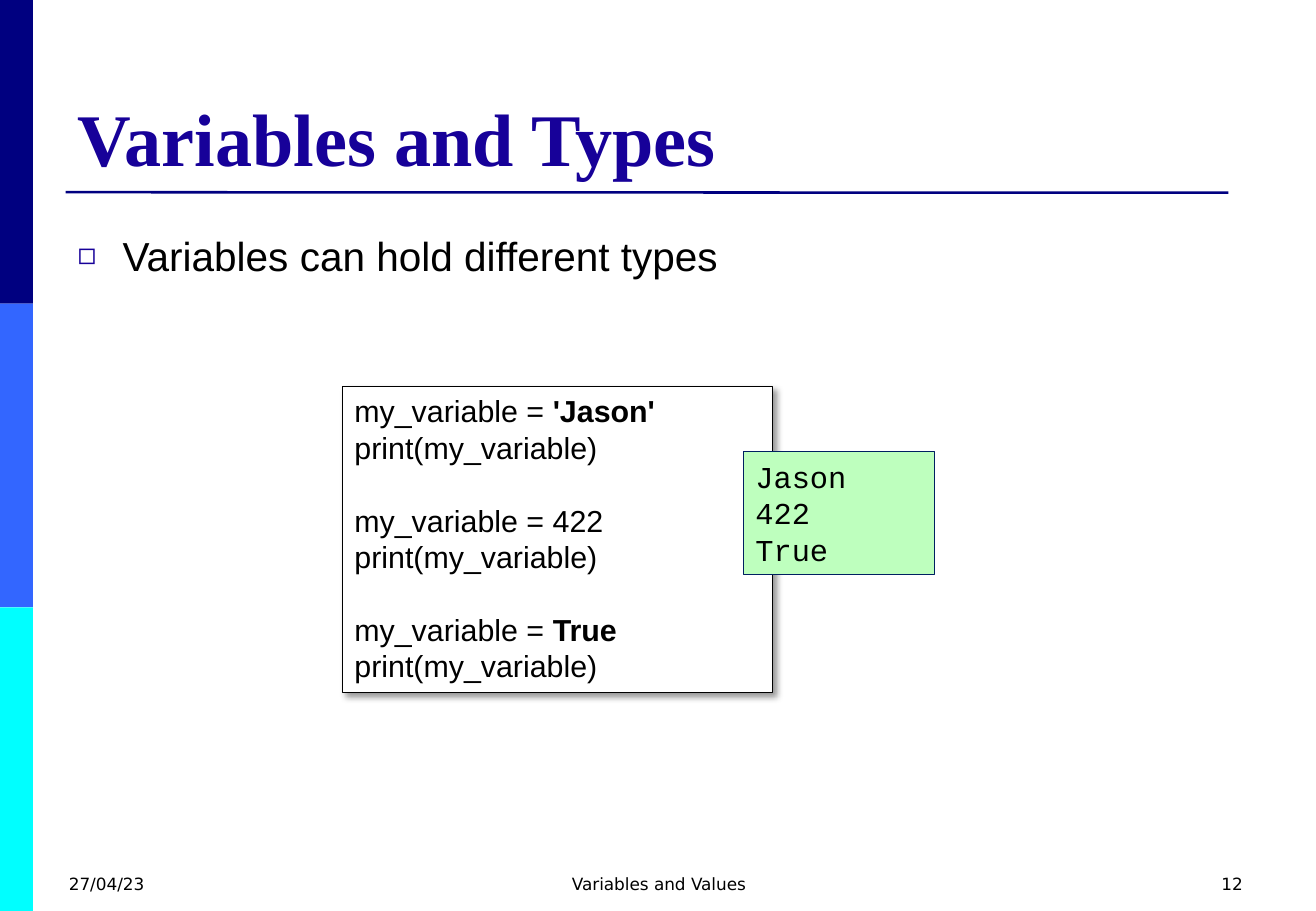
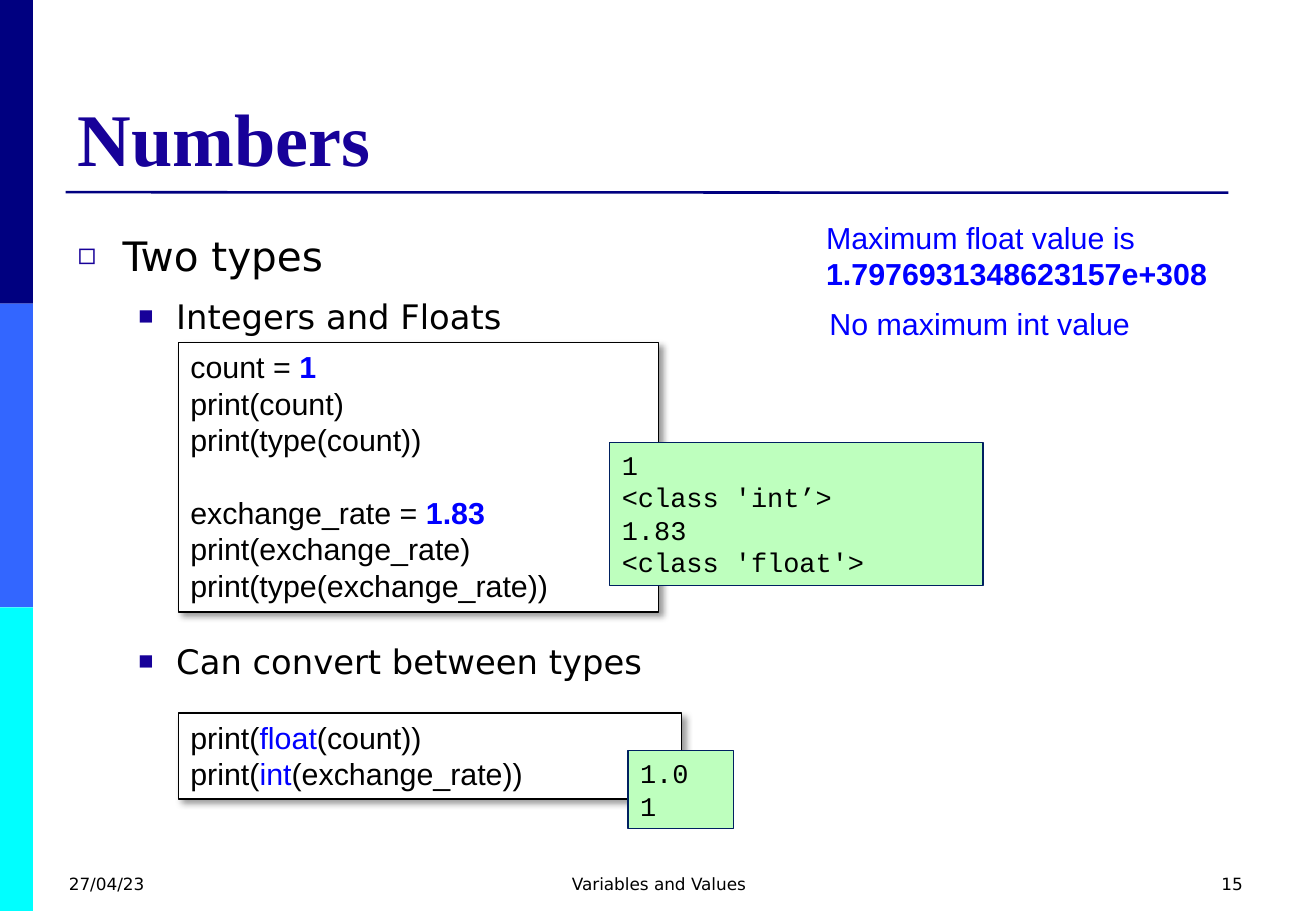
from lxml.etree import SubElement
from pptx import Presentation
from pptx.dml.color import RGBColor
from pptx.enum.shapes import MSO_CONNECTOR, MSO_SHAPE
from pptx.enum.text import MSO_ANCHOR as ANCHOR, MSO_AUTO_SIZE as FIT, PP_ALIGN as ALIGN
from pptx.oxml.ns import qn
from pptx.util import Cm, Pt

NAVY = RGBColor(0x00, 0x00, 0x80)
ROYAL = RGBColor(0x33, 0x66, 0xFF)
CYAN = RGBColor(0x00, 0xFF, 0xFF)
INDIGO = RGBColor(0x17, 0x01, 0x99)
BLUE = RGBColor(0x00, 0x00, 0xFF)
BLACK = RGBColor(0x00, 0x00, 0x00)
WHITE = RGBColor(0xFF, 0xFF, 0xFF)
MINT = RGBColor(0xBE, 0xFF, 0xBE)
DARK_BLUE = RGBColor(0x00, 0x20, 0x60)
SANS, MONO, SERIF, UI = "Arial", "Courier New", "Times New Roman", "DejaVu Sans"

# Bullet levels: character, size, left indent, hanging, line spacing, space before
LEVELS = [("◻", 24, 0.94, 0.94, 1.25, 7), ("■", 20, 2.06, 0.79, 1.15, 6)]
FOOTER_TOP, FOOTER_HEIGHT = 18.14, 0.91

# Slide contents; in text lines, every second part between bars is emphasised
SLIDES = [
    dict(
        title="Variables and Types", number="12", body_font=SANS, body_height=5.56,
        bullets=[(0, "Variables can hold different types", None)],
        code=[(7.16, 8.08, 8.99, 6.4, True, BLACK, [
            ["my_variable = |'Jason'", "print(my_variable)"],
            ["my_variable = 422", "print(my_variable)"],
            ["my_variable = |True", "print(my_variable)"]])],
        output=[(15.54, 9.45, 3.99, 2.57, 18, ["Jason", "422", "True"])],
        remarks=[],
    ),
    dict(
        title="Numbers", number="15", body_font=UI, body_height=12.57,
        bullets=[(0, "Two types", None), (1, "Integers and Floats", None),
                 (1, "Can convert between types", 177)],
        code=[(3.73, 7.16, 10.03, 5.64, True, BLUE, [
            ["count = |1", "print(count)", "print(type(count))"],
            ["exchange_rate = |1.83", "print(exchange_rate)", "print(type(exchange_rate))"]]),
              (3.73, 14.91, 10.52, 1.8, False, BLUE, [
                  ["print(|float|(count))", "print(|int|(exchange_rate))"]])],
        output=[(12.75, 9.25, 7.8, 3, 16, ["1", "<class 'int’>", "1.83", "<class 'float'>"]),
                (13.13, 15.7, 2.21, 1.63, 16, ["1.0", "1"])],
        # A no-break space keeps "is" with the number
        remarks=[(17.02, 4.45, 9.22, 1.8, "Maximum float value is |1.7976931348623157e+308"),
                 (17.09, 6.25, 7.09, 1.02, "No maximum int value")],
    ),
]


def write(shape, blocks, font, size, color=BLACK, bold=False, accent=BLACK, align=ALIGN.LEFT):
    """Write blocks of lines, one line of space apart."""
    frame = shape.text_frame
    frame.word_wrap = True
    frame.vertical_anchor = ANCHOR.TOP
    for b, block in enumerate(blocks):
        for n, line in enumerate(block):
            paragraph = frame.paragraphs[0] if b == n == 0 else frame.add_paragraph()
            paragraph.alignment = align
            if b and n == 0:
                paragraph.space_before = Pt(size * 1.2)
            for i, part in enumerate(line.split("|")):
                run = paragraph.add_run()
                run.text = part
                run.font.name, run.font.size = font, Pt(size)
                run.font.bold = bold and i % 2 == 1
                run.font.color.rgb = accent if i % 2 else color


def add_box(slide, box, fill, line):
    shape = slide.shapes.add_shape(MSO_SHAPE.RECTANGLE, *map(Cm, box))
    shape.shadow.inherit = False
    shape.fill.solid()
    shape.fill.fore_color.rgb = fill
    shape.line.color.rgb = line
    shape.line.width = Pt(0.75)
    return shape


prs = Presentation()
prs.slide_width, prs.slide_height = Cm(27.51), Cm(19.05)
layout = prs.slide_layouts[1]
slides = [prs.slides.add_slide(layout) for _ in SLIDES]

# Layout: title place and style
heading = layout.placeholders[0]
heading.left, heading.top, heading.width, heading.height = map(Cm, (1.37, 0.78, 24.77, 3.15))
heading.text_frame.vertical_anchor = ANCHOR.BOTTOM
heading.text_frame.auto_size = FIT.NONE

# Layout: bands, rule, date and footer, drawn on a slide and moved to the layout
shared = []
for i, color in enumerate((NAVY, ROYAL, CYAN)):
    band = add_box(slides[0], (0, 6.35 * i, 0.69, 6.35), color, color)
    band.line.fill.background()
    shared.append(band)
rule = slides[0].shapes.add_connector(MSO_CONNECTOR.STRAIGHT, Cm(1.37), Cm(4.02), Cm(25.68), Cm(4.03))
rule.line.color.rgb = NAVY
rule.line.width = Pt(1.5)
SubElement(rule.element.spPr, qn("a:effectLst"))
shared.append(rule)
for left, width, text, align in ((1.19, 6.43, "27/04/23", ALIGN.LEFT),
                                 (9.42, 8.71, "Variables and Values", ALIGN.CENTER)):
    footer = slides[0].shapes.add_textbox(Cm(left), Cm(FOOTER_TOP), Cm(width), Cm(FOOTER_HEIGHT))
    write(footer, [[text]], UI, 10, align=align)
    shared.append(footer)
for shape in shared:
    layout.shapes.element.append(shape.element)

for slide, content in zip(slides, SLIDES):
    # Title
    title = slide.shapes.title
    title.text_frame.text = content["title"]
    paragraph = title.text_frame.paragraphs[0]
    paragraph.alignment = ALIGN.LEFT
    font = paragraph.runs[0].font
    font.name, font.size, font.bold = SERIF, Pt(44), True
    font.color.rgb = INDIGO

    # Bulleted list
    body = slide.placeholders[1]
    body.left, body.top, body.width, body.height = map(Cm, (1.37, 4.45, 24.77, content["body_height"]))
    body.text_frame.auto_size = FIT.NONE
    body.text_frame.text = "\n".join(text for _, text, _ in content["bullets"])
    for n, (paragraph, (level, _, gap)) in enumerate(zip(body.text_frame.paragraphs, content["bullets"])):
        char, size, indent, hanging, spacing, before = LEVELS[level]
        paragraph.level = level
        props = paragraph._p.get_or_add_pPr()
        props.set("marL", str(Cm(indent)))
        props.set("indent", str(-Cm(hanging)))
        SubElement(SubElement(props, qn("a:buClr")), qn("a:srgbClr"), val=str(INDIGO))
        SubElement(props, qn("a:buSzPct"), val="75000")
        SubElement(props, qn("a:buChar"), char=char)
        paragraph.line_spacing = spacing
        paragraph.space_before = Pt(gap or before) if n else Pt(0)
        font = paragraph.runs[0].font
        font.name, font.size = content["body_font"], Pt(size)
        font.color.rgb = BLACK

    # Slide number
    number = slide.shapes.add_textbox(Cm(19.8), Cm(FOOTER_TOP), Cm(6.43), Cm(FOOTER_HEIGHT))
    write(number, [[content["number"]]], UI, 10, align=ALIGN.RIGHT)

    # Code with its shadow
    for *box, bold, accent, blocks in content["code"]:
        code = add_box(slide, box, WHITE, BLACK)
        write(code, blocks, SANS, 18, bold=bold, accent=accent)
        effects = code.element.spPr.find(qn("a:effectLst"))
        shadow = SubElement(effects, qn("a:outerShdw"), blurRad=str(Pt(4)), dist=str(Pt(3)),
                            dir="2700000", algn="tl", rotWithShape="0")
        shade = SubElement(shadow, qn("a:srgbClr"), val=str(BLACK))
        SubElement(shade, qn("a:alpha"), val="40000")

    # Program output
    for *box, size, lines in content["output"]:
        write(add_box(slide, box, MINT, DARK_BLUE), [lines], MONO, size)

    # Remarks
    for *box, text in content["remarks"]:
        remark = slide.shapes.add_textbox(*map(Cm, box))
        write(remark, [[text]], SANS, 18, BLUE, bold=True, accent=BLUE)

prs.save("out.pptx")
